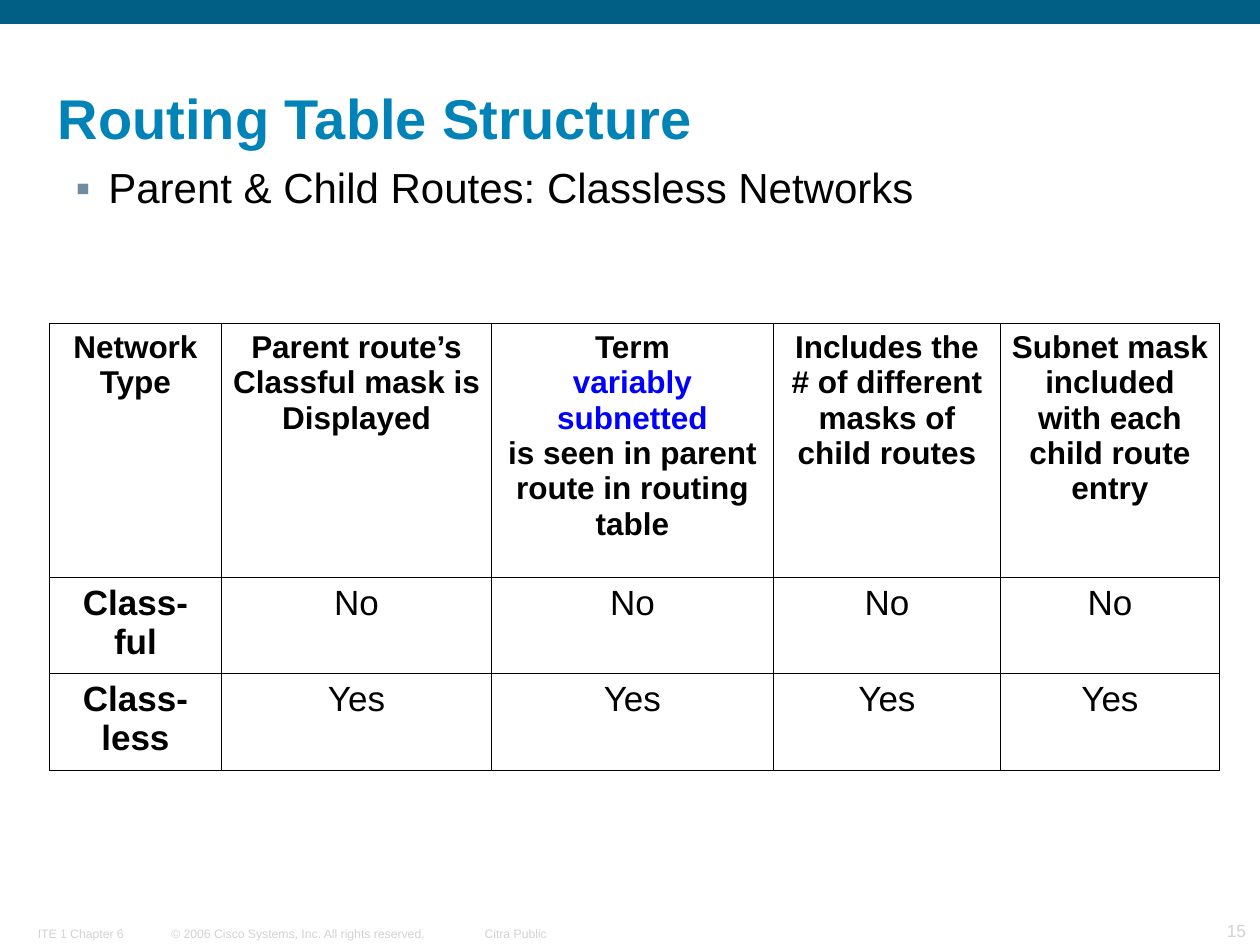
from lxml import etree
from pptx import Presentation
from pptx import util as u
from pptx.dml.color import RGBColor
from pptx.enum import shapes, text
from pptx.oxml.ns import qn

WHITE = RGBColor(0xFF, 0xFF, 0xFF)
BLACK = RGBColor(0, 0, 0)
BAND = RGBColor(0x01, 0x5F, 0x85)
HEADING = RGBColor(0x01, 0x83, 0xB7)
BULLET = RGBColor(0x70, 0x8C, 0xA1)
TERM = RGBColor(0, 0, 0xFF)
FOOTER = RGBColor(0xD3, 0xD3, 0xD3)
FONT = "Arial"
LEFT, CENTER, RIGHT = text.PP_ALIGN.LEFT, text.PP_ALIGN.CENTER, text.PP_ALIGN.RIGHT
TOP, BOTTOM = text.MSO_ANCHOR.TOP, text.MSO_ANCHOR.BOTTOM

TITLE = "Routing Table Structure"
SUBTITLE = "Parent & Child Routes: Classless Networks"
HIGHLIGHT = "variably subnetted"
ROUTE_TABLE = [
    ["Network\nType",
     "Parent route’s\nClassful mask is\nDisplayed",
     f"Term\n{HIGHLIGHT}\nis seen in parent route in routing table",
     "Includes the # of different masks of child routes",
     "Subnet mask included with each child route entry"],
    ["Class-\nful"] + ["No"] * 4,
    ["Class-less"] + ["Yes"] * 4,
]
COLUMN_WIDTHS = [1.37, 2.14, 2.24, 1.8, 1.74]
ROW_HEIGHTS = [2.01, 0.76, 0.76]
# wording, (left, top, width, height), size, alignment, wrap
FOOTERS = [
    ("ITE 1 Chapter 6", (0.21, 7.3, 1.05, 0.21), 7, LEFT, True),
    ("© 2006 Cisco Systems, Inc. All rights reserved.", (1.27, 7.3, 2.2, 0.21), 7, LEFT, False),
    ("Citra Public", (3.72, 7.3, 0.71, 0.21), 7, RIGHT, False),
    ("15", (9.17, 7.25, 0.81, 0.26), 10, RIGHT, True),
]


def style(paragraph, size, color, bold=False, align=LEFT):
    paragraph.alignment = align
    for run in paragraph.runs:
        run.font.name, run.font.size, run.font.bold = FONT, u.Pt(size), bold
        run.font.color.rgb = color


def add_text(slide, wording, place, size, color, bold=False, align=LEFT, anchor=TOP, wrap=True):
    frame = slide.shapes.add_textbox(*map(u.Inches, place)).text_frame
    frame.margin_left = frame.margin_right = u.Inches(0.09)
    frame.margin_top = frame.margin_bottom = u.Inches(0.04)
    frame.word_wrap, frame.vertical_anchor = wrap, anchor
    frame.text = wording
    style(frame.paragraphs[0], size, color, bold, align)
    return frame.paragraphs[0]


def add_bullet(paragraph, sign, color, indent):
    props = paragraph._p.get_or_add_pPr()
    props.set("marL", str(u.Inches(indent)))
    props.set("indent", str(-u.Inches(indent)))
    tint = etree.SubElement(props, qn("a:buClr"))
    etree.SubElement(tint, qn("a:srgbClr"), val=str(color))
    etree.SubElement(props, qn("a:buFont"), typeface=FONT)
    etree.SubElement(props, qn("a:buChar"), char=sign)


def add_borders(cell, color, width):
    props = cell._tc.get_or_add_tcPr()
    for side in ("lnL", "lnR", "lnT", "lnB"):
        line = etree.SubElement(props, qn(f"a:{side}"), w=str(u.Pt(width)))
        fill = etree.SubElement(line, qn("a:solidFill"))
        etree.SubElement(fill, qn("a:srgbClr"), val=str(color))


def add_route_table(slide, left, top):
    table = slide.shapes.add_table(
        len(ROW_HEIGHTS), len(COLUMN_WIDTHS), u.Inches(left), u.Inches(top),
        u.Inches(sum(COLUMN_WIDTHS)), u.Inches(sum(ROW_HEIGHTS))).table
    table.first_row = table.horz_banding = False
    for column, width in zip(table.columns, COLUMN_WIDTHS):
        column.width = u.Inches(width)
    for r, entries in enumerate(ROUTE_TABLE):
        table.rows[r].height = u.Inches(ROW_HEIGHTS[r])
        for c, entry in enumerate(entries):
            cell = table.cell(r, c)
            cell.margin_left = cell.margin_right = u.Inches(0.09)
            cell.margin_top = cell.margin_bottom = u.Inches(0.05)
            add_borders(cell, BLACK, 0.45)
            cell.fill.background()
            cell.text_frame.text = entry
            for paragraph in cell.text_frame.paragraphs:
                color = TERM if paragraph.text == HIGHLIGHT else BLACK
                style(paragraph, 20 if r else 18, color, r == 0 or c == 0, CENTER)


def main():
    deck = Presentation()
    deck.slide_width, deck.slide_height = u.Inches(10), u.Inches(7.5)
    slide = deck.slides.add_slide(deck.slide_layouts[6])
    slide.background.fill.solid()
    slide.background.fill.fore_color.rgb = WHITE

    band = slide.shapes.add_shape(
        shapes.MSO_SHAPE.RECTANGLE, 0, 0, deck.slide_width, u.Inches(0.19))
    band.shadow.inherit = False
    band.fill.solid()
    band.fill.fore_color.rgb = BAND
    band.line.fill.background()

    for wording, place, size, align, wrap in FOOTERS:
        add_text(slide, wording, place, size, FOOTER, align=align, anchor=BOTTOM, wrap=wrap)

    title = add_text(slide, TITLE, (0.37, 0.32, 9.62, 0.92), 32, HEADING, True, anchor=BOTTOM)
    title.line_spacing = 0.9
    add_route_table(slide, 0.39, 2.57)
    subtitle = add_text(slide, SUBTITLE, (0.51, 1.27, 8.68, 1.08), 24, BLACK)
    add_bullet(subtitle, "▪", BULLET, 0.26)
    subtitle.line_spacing = 0.95

    deck.save("out.pptx")


if __name__ == "__main__":
    main()
